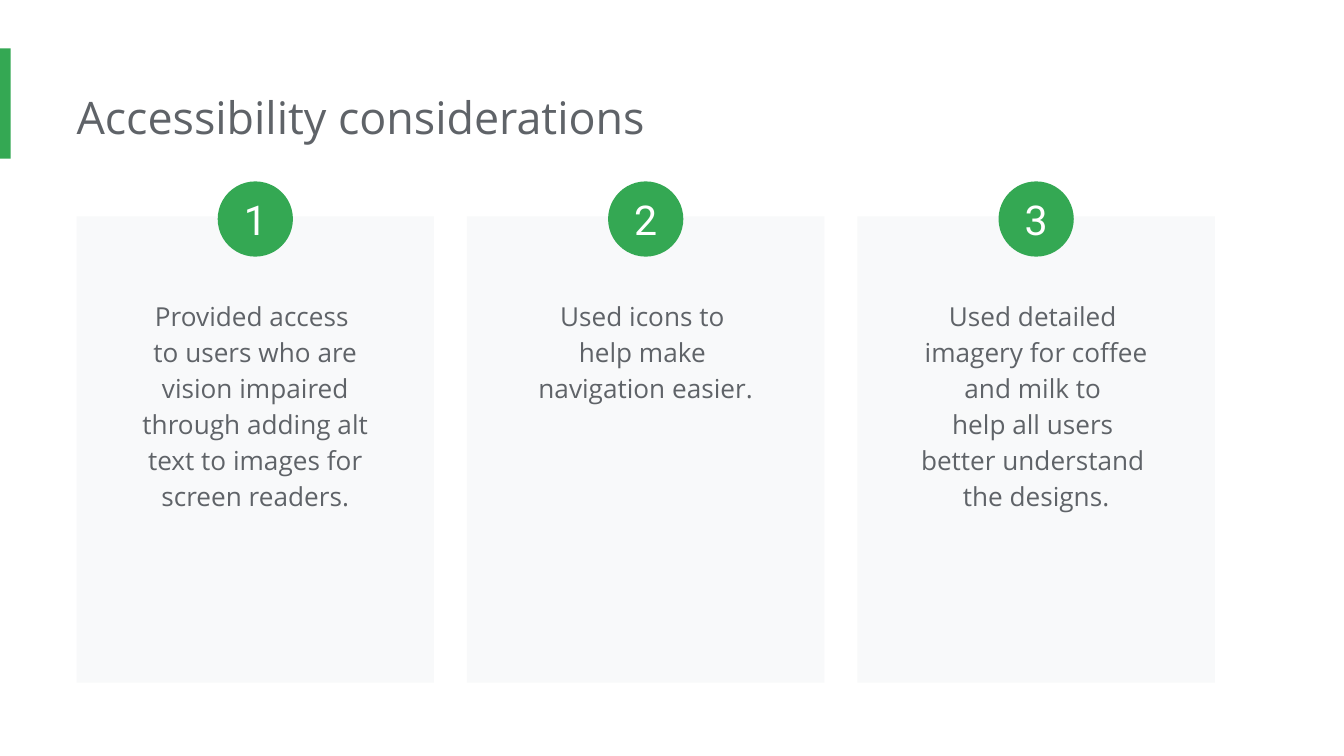
import copy

import pptx
import pptx.dml.color
import pptx.enum.shapes
import pptx.enum.text
import pptx.util

Inches = pptx.util.Inches
SHAPES = pptx.enum.shapes.MSO_SHAPE
ALIGN = pptx.enum.text.PP_ALIGN
ANCHOR = pptx.enum.text.MSO_ANCHOR

# Content: each card has its text and the height of its text box
TITLE = "Accessibility considerations"
CARDS = [
    ("Provided access \nto users who are vision impaired through adding alt "
     "text to images for screen readers.", 1.79),
    ("Used icons to \nhelp make \nnavigation easier.", 0.98),
    ("Used detailed \nimagery for coffee and milk to \nhelp all users \n"
     "better understand \nthe designs.", 1.79),
]
GREEN, GREY, PALE, WHITE = "34A853", "5F6368", "F8F9FA", "FFFFFF"

# Layout in inches
PAGE_WIDTH = 10
PAGE_HEIGHT = PAGE_WIDTH * 9 / 16
FIRST_LEFT, LAST_LEFT = 0.57, 6.38
CARD_TOP, CARD_WIDTH, CARD_HEIGHT = 1.61, 2.66, 3.47
CARD_STEP = (LAST_LEFT - FIRST_LEFT) / (len(CARDS) - 1)
TEXT_TOP, TEXT_WIDTH = 2.1, 2.24
BADGE_TOP, BADGE_SIZE = 1.35, 0.56


def color(value):
    return pptx.dml.color.RGBColor.from_string(value)


def write(frame, text, *, size, ink, font="Open Sans", align=ALIGN.LEFT,
          anchor=ANCHOR.TOP, spacing=None, margins=(0.1, 0.1, 0.1, 0.1)):
    frame.word_wrap = True
    frame.vertical_anchor = anchor
    (frame.margin_left, frame.margin_top,
     frame.margin_right, frame.margin_bottom) = map(Inches, margins)
    para = frame.paragraphs[0]
    para.alignment = align
    para.line_spacing = spacing
    para.text = text
    for span in para.runs:
        span.font.name = font
        span.font.size = pptx.util.Pt(size)
        span.font.color.rgb = color(ink)
    # Line breaks take the text size too, so that lines keep an even height
    for line_break in para._p.xpath("a:br"):
        line_break.append(copy.deepcopy(para.runs[0]._r.rPr))


def add_text(page, text, left, top, width, height, **style):
    box = page.shapes.add_textbox(*map(Inches, (left, top, width, height)))
    write(box.text_frame, text, **style)
    box.text_frame.auto_size = pptx.enum.text.MSO_AUTO_SIZE.SHAPE_TO_FIT_TEXT


def add_block(page, kind, fill, left, top, width, height):
    block = page.shapes.add_shape(kind, *map(Inches, (left, top, width, height)))
    block.shadow.inherit = False
    block.fill.solid()
    block.fill.fore_color.rgb = color(fill)
    block.line.fill.background()
    return block


deck = pptx.Presentation()
deck.slide_width, deck.slide_height = Inches(PAGE_WIDTH), Inches(PAGE_HEIGHT)
page = deck.slides.add_slide(deck.slide_layouts[6])

# Accent bar and title
add_block(page, SHAPES.RECTANGLE, GREEN, 0, 0.36, 0.08, 0.82)
add_text(page, TITLE, FIRST_LEFT, 0.57, 7.66, 0.61, size=24, ink=GREY,
         margins=(0, 0.1, 0.1, 0.1))

# Cards with centred text
centers = [FIRST_LEFT + CARD_WIDTH / 2 + index * CARD_STEP
           for index in range(len(CARDS))]
for center, (text, height) in zip(centers, CARDS):
    add_block(page, SHAPES.RECTANGLE, PALE, center - CARD_WIDTH / 2,
              CARD_TOP, CARD_WIDTH, CARD_HEIGHT)
    add_text(page, text, center - TEXT_WIDTH / 2, TEXT_TOP, TEXT_WIDTH, height,
             size=14, ink=GREY, align=ALIGN.CENTER, spacing=1.15)

# Numbered badges over the top edges of the cards
for number, center in enumerate(centers, start=1):
    badge = add_block(page, SHAPES.OVAL, GREEN, center - BADGE_SIZE / 2,
                      BADGE_TOP, BADGE_SIZE, BADGE_SIZE)
    write(badge.text_frame, str(number), size=22, ink=WHITE, font="Roboto",
          align=ALIGN.CENTER, anchor=ANCHOR.MIDDLE, margins=(0, 0, 0, 0))

deck.save("out.pptx")
